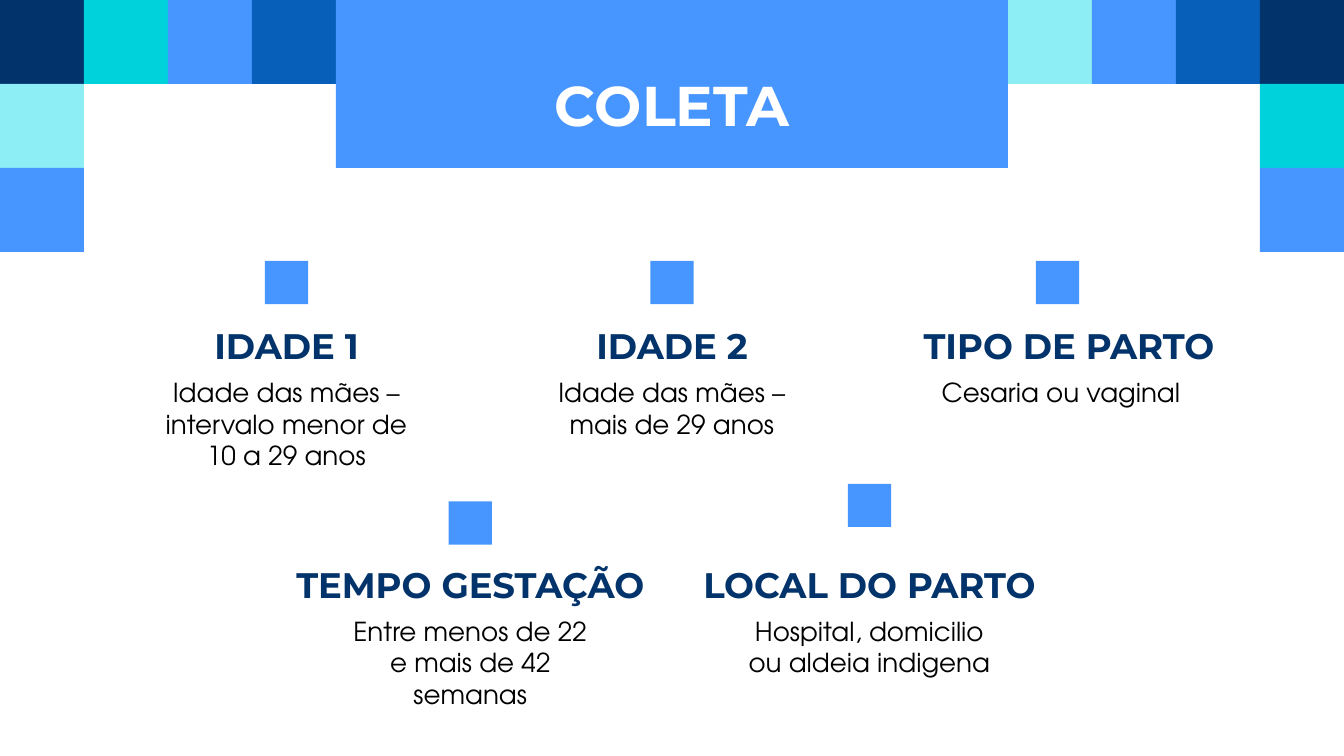
from dataclasses import dataclass

from pptx import Presentation
from pptx import util as u
from pptx.dml.color import RGBColor
from pptx.enum import shapes, text

NAVY, BLUE, DEEP = "02336A", "4796FF", "085FBA"
TEAL, AQUA = "00D2DC", "8DEEF5"
WHITE, BLACK = "FFFFFF", "000000"
HEADING_FONT, BODY_FONT = "Montserrat", "TeX Gyre Adventor"
TILE, MARKER = 45, 23.2
BODY_WIDTH = 148.3


@dataclass
class Tile:
    column: int
    row: int
    color: str


@dataclass
class Topic:
    heading: str
    body: str
    center: float
    heading_top: float
    marker_top: float
    heading_width: float = 140.4
    heading_shift: float = 0


TILES = [
    Tile(0, 0, NAVY), Tile(1, 0, TEAL), Tile(2, 0, BLUE), Tile(3, 0, DEEP),
    Tile(0, 1, AQUA), Tile(0, 2, BLUE),
    Tile(12, 0, AQUA), Tile(13, 0, BLUE), Tile(14, 0, DEEP), Tile(15, 0, NAVY),
    Tile(15, 1, TEAL), Tile(15, 2, BLUE),
]

TOPICS = [
    Topic("IDADE 1", "Idade das mães – intervalo menor de 10 a 29 anos",
          153.5, 164.1, 139.8),
    Topic("IDADE 2", "Idade das mães – mais de 29 anos", 360, 164.1, 139.8),
    Topic("TIPO DE PARTO", " Cesaria ou vaginal", 566.5, 164.1, 139.8, 176.4, 6.2),
    Topic("TEMPO GESTAÇÃO", "Entre menos de 22 e mais de 42 semanas",
          252, 292, 268.6, 206.6),
    Topic("LOCAL DO PARTO", "Hospital, domicilio ou aldeia indigena",
          465.8, 292, 259.2, 201.6),
]


def rgb(color: str) -> RGBColor:
    return RGBColor.from_string(color)


def add_block(page, left: float, top: float, width: float, height: float, color: str):
    block = page.shapes.add_shape(
        shapes.MSO_SHAPE.RECTANGLE, u.Pt(left), u.Pt(top), u.Pt(width), u.Pt(height))
    block.shadow.inherit = False
    block.fill.solid()
    block.fill.fore_color.rgb = rgb(color)
    block.line.fill.background()
    return block


def write(box, words: str, font: str, size: float, color: str, bold: bool,
          anchor, inset_top: float = 7.2, inset_bottom: float = 7.2) -> None:
    frame = box.text_frame
    frame.word_wrap = True
    frame.vertical_anchor = anchor
    frame.margin_left = frame.margin_right = u.Pt(7.2)
    frame.margin_top, frame.margin_bottom = u.Pt(inset_top), u.Pt(inset_bottom)
    para = frame.paragraphs[0]
    para.text = words
    para.alignment = text.PP_ALIGN.CENTER
    para.font.name, para.font.size, para.font.bold = font, u.Pt(size), bold
    para.font.color.rgb = rgb(color)


def add_label(page, center: float, top: float, width: float, height: float):
    return page.shapes.add_textbox(
        u.Pt(center - width / 2), u.Pt(top), u.Pt(width), u.Pt(height))


def add_topic(page, topic: Topic) -> None:
    heading = add_label(page, topic.center + topic.heading_shift,
                        topic.heading_top, topic.heading_width, 39.6)
    write(heading, topic.heading, HEADING_FONT, 19, NAVY, True, text.MSO_ANCHOR.BOTTOM)
    body = add_label(page, topic.center, topic.heading_top + 30.5, BODY_WIDTH, 46.8)
    write(body, topic.body, BODY_FONT, 14, BLACK, False, text.MSO_ANCHOR.TOP)
    add_block(page, topic.center - MARKER / 2, topic.marker_top, MARKER, MARKER, BLUE)


def main() -> None:
    deck = Presentation()
    deck.slide_width, deck.slide_height = u.Pt(720), u.Pt(405)
    page = deck.slides.add_slide(deck.slide_layouts[6])

    # Corner mosaic
    for tile in TILES:
        add_block(page, tile.column * TILE, tile.row * TILE, TILE, TILE, tile.color)

    # Title banner
    banner = add_block(page, 4 * TILE, 0, 8 * TILE, 2 * TILE, BLUE)
    write(banner, "COLETA", HEADING_FONT, 30, WHITE, True,
          text.MSO_ANCHOR.MIDDLE, inset_top=21.6, inset_bottom=0)

    # Collected variables
    for topic in TOPICS:
        add_topic(page, topic)

    deck.save("out.pptx")


if __name__ == "__main__":
    main()
